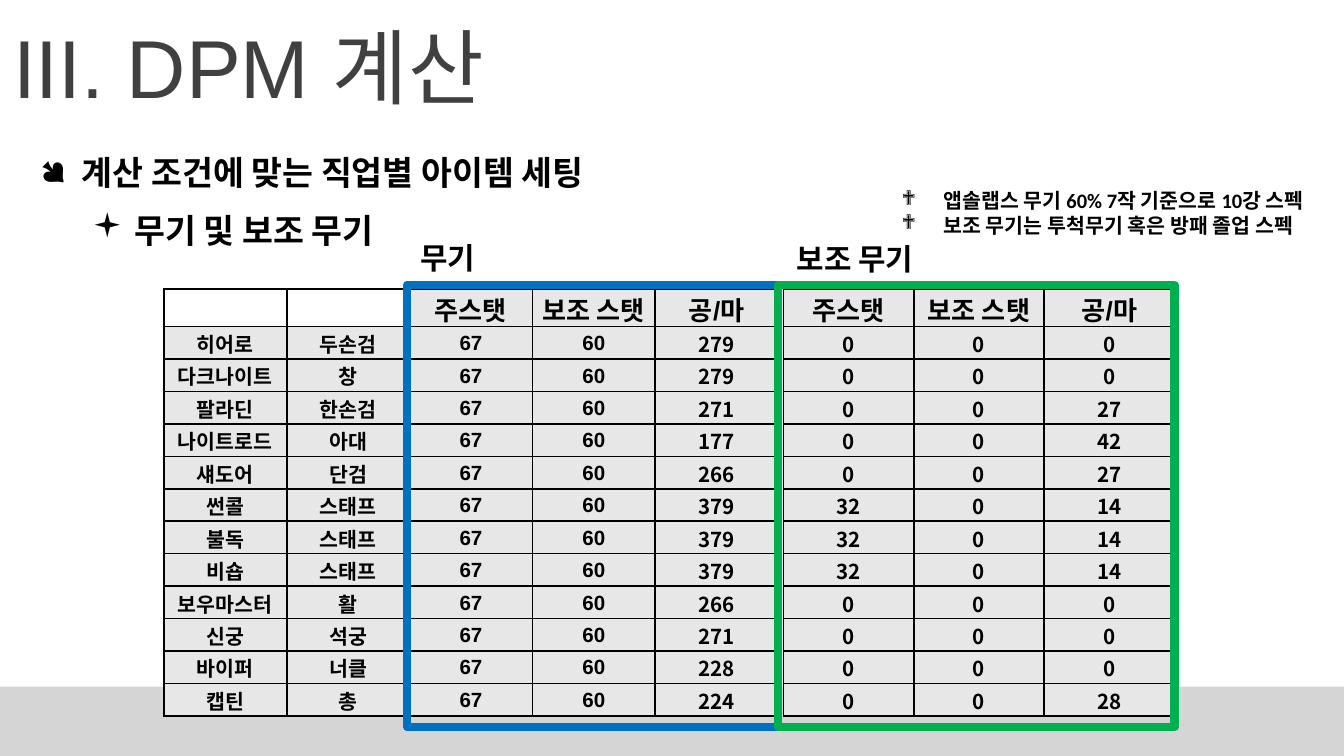
from dataclasses import dataclass
from typing import NamedTuple

from lxml import etree
from pptx import Presentation, util as u
from pptx.dml.color import RGBColor
from pptx.enum import shapes, text
from pptx.oxml.ns import qn


@dataclass(frozen=True)
class Theme:
    title_ink: str = "404040"
    ink: str = "000000"
    band: str = "D5D5D5"
    cell: str = "E7E7E7"
    weapon: str = "0070C0"
    sub_weapon: str = "00B050"
    latin: str = "Calibri"
    plain: str = "Arial"
    korean: str = "Noto Sans CJK KR"
    bullet: str = "Wingdings"
    title: int = 44
    point: int = 18
    label: int = 16
    header: int = 14
    small: int = 11


class Region(NamedTuple):
    """Left, top, width and height as percentages of the slide."""
    x: float
    y: float
    w: float
    h: float


class Caption(NamedTuple):
    region: Region
    lines: list[str]
    size: int
    bullet: str = ""
    wrap: bool = True


class Job(NamedTuple):
    name: str
    weapon: str
    attack: int
    sub_main: int
    sub_attack: int


THEME = Theme()
WIDTH = u.Inches(10)
HEIGHT = WIDTH * 9 // 16
HEADER_ROWS = 1.16  # height of the header, in body rows
MAIN_STAT, SECOND_STAT = 67, 60
STATS = ["주스탯", "보조 스탯", "공/마"]

JOBS = [
    Job("히어로", "두손검", 279, 0, 0),
    Job("다크나이트", "창", 279, 0, 0),
    Job("팔라딘", "한손검", 271, 0, 27),
    Job("나이트로드", "아대", 177, 0, 42),
    Job("섀도어", "단검", 266, 0, 27),
    Job("썬콜", "스태프", 379, 32, 14),
    Job("불독", "스태프", 379, 32, 14),
    Job("비숍", "스태프", 379, 32, 14),
    Job("보우마스터", "활", 266, 0, 0),
    Job("신궁", "석궁", 271, 0, 0),
    Job("바이퍼", "너클", 228, 0, 0),
    Job("캡틴", "총", 224, 0, 28),
]

POINTS = [
    Caption(Region(2, 19.2, 51.9, 7.11), ["계산 조건에 맞는 직업별 아이템 세팅"], THEME.point, "●"),
    Caption(Region(5.9, 26.84, 45.7, 7.11), ["무기 및 보조 무기"], THEME.point, "▪"),
]
LABELS = [
    Caption(Region(30.3, 30.8, 6.5, 6.58), ["무기"], THEME.label, wrap=False),
    Caption(Region(58.3, 30.93, 11.5, 6.58), ["보조 무기"], THEME.label, wrap=False),
]
NOTES = Caption(
    Region(66.1, 24, 33.9, 8.36),
    ["앱솔랩스 무기 60% 7작 기준으로 10강 스펙", "보조 무기는 투척무기 혹은 방패 졸업 스펙"],
    THEME.small, "❖", wrap=False,
)
FRAMES = [
    (Region(30.3, 37.69, 27.6, 58.49), THEME.weapon),
    (Region(57.9, 37.69, 29.5, 58.49), THEME.sub_weapon),
]


def place(region: Region) -> tuple[int, int, int, int]:
    return (int(WIDTH * region.x / 100), int(HEIGHT * region.y / 100),
            int(WIDTH * region.w / 100), int(HEIGHT * region.h / 100))


def style(para, size: int, face: str, color: str = THEME.ink, bold: bool = True) -> None:
    para.font.size = u.Pt(size)
    para.font.name = face
    para.font.bold = bold
    para.font.color.rgb = RGBColor.from_string(color)


def add_bullet(para, mark: str) -> None:
    props = para._p.get_or_add_pPr()
    props.set("marL", str(u.Inches(0.31)))
    props.set("indent", str(-u.Inches(0.31)))
    etree.SubElement(props, qn("a:buFont"), typeface=THEME.bullet)
    etree.SubElement(props, qn("a:buChar"), char=mark)


def add_title(page, wording: str) -> None:
    box = page.shapes.add_textbox(*place(Region(0, 0, 100, 17.24)))
    frame = box.text_frame
    frame.word_wrap = True
    frame.vertical_anchor = text.MSO_ANCHOR.MIDDLE
    frame.text = wording
    style(frame.paragraphs[0], THEME.title, THEME.plain, THEME.title_ink, bold=False)


def add_caption(page, caption: Caption) -> None:
    frame = page.shapes.add_textbox(*place(caption.region)).text_frame
    frame.word_wrap = caption.wrap
    frame.auto_size = text.MSO_AUTO_SIZE.SHAPE_TO_FIT_TEXT
    frame.text = "\n".join(caption.lines)
    for para in frame.paragraphs:
        if caption.bullet:
            add_bullet(para, caption.bullet)
        style(para, caption.size, THEME.latin)


def add_borders(cell) -> None:
    props = cell._tc.get_or_add_tcPr()
    for side in ("lnL", "lnR", "lnT", "lnB"):
        line = etree.SubElement(props, qn(f"a:{side}"), w=str(u.Pt(1)))
        fill = etree.SubElement(line, qn("a:solidFill"))
        etree.SubElement(fill, qn("a:srgbClr"), val=THEME.ink)


def fill_cell(cell, wording: str, size: int, face: str) -> None:
    cell.margin_left = cell.margin_right = cell.margin_top = u.Inches(0.01)
    cell.margin_bottom = 0
    cell.vertical_anchor = text.MSO_ANCHOR.MIDDLE
    add_borders(cell)
    para = cell.text_frame.paragraphs[0]
    para.alignment = text.PP_ALIGN.CENTER
    if wording:
        para.text = wording
        cell.fill.solid()
        cell.fill.fore_color.rgb = RGBColor.from_string(THEME.cell)
    else:
        para._p.get_or_add_endParaRPr().set("sz", str(size * 100))
        cell.fill.background()
    style(para, size, face)


def add_stat_table(page, region: Region, rows: list[list], faces: list[str]) -> None:
    """Draw a header row and body rows; faces gives the body font of each column."""
    left, top, width, height = place(region)
    table = page.shapes.add_table(len(rows), len(faces), left, top, width, height).table
    table.first_row = table.horz_banding = False
    row_height = height / (len(rows) - 1 + HEADER_ROWS)
    for column in table.columns:
        column.width = width // len(faces)
    for r, values in enumerate(rows):
        table.rows[r].height = int(row_height * (1 if r else HEADER_ROWS))
        for c, value in enumerate(values):
            size, face = (THEME.small, faces[c]) if r else (THEME.header, THEME.plain)
            fill_cell(table.cell(r, c), str(value), size, face)


def add_rectangle(page, region: Region, fill: str = "", line: str = "") -> None:
    box = page.shapes.add_shape(shapes.MSO_SHAPE.RECTANGLE, *place(region))
    box.shadow.inherit = False
    if fill:
        box.fill.solid()
        box.fill.fore_color.rgb = RGBColor.from_string(fill)
    else:
        box.fill.background()
    if line:
        box.line.color.rgb = RGBColor.from_string(line)
        box.line.width = u.Pt(4.5)
    else:
        box.line.fill.background()


def main() -> None:
    deck = Presentation()
    deck.slide_width, deck.slide_height = WIDTH, HEIGHT
    page = deck.slides.add_slide(deck.slide_layouts[6])

    add_rectangle(page, Region(0, 90.84, 100, 9.16), fill=THEME.band)
    add_title(page, "III. DPM 계산")
    for point in POINTS:
        add_caption(page, point)

    weapons = [[job.name, job.weapon, MAIN_STAT, SECOND_STAT, job.attack] for job in JOBS]
    add_stat_table(page, Region(12.2, 38.22, 45.7, 56.53), [["", "", *STATS], *weapons],
                   [THEME.plain] * 4 + [THEME.korean])
    sub_weapons = [[job.sub_main, 0, job.sub_attack] for job in JOBS]
    add_stat_table(page, Region(58.3, 38.22, 29.1, 56.53), [STATS, *sub_weapons],
                   [THEME.korean] * 3)

    for label in LABELS:
        add_caption(page, label)
    for region, color in FRAMES:
        add_rectangle(page, region, line=color)
    add_caption(page, NOTES)
    deck.save("out.pptx")


if __name__ == "__main__":
    main()
